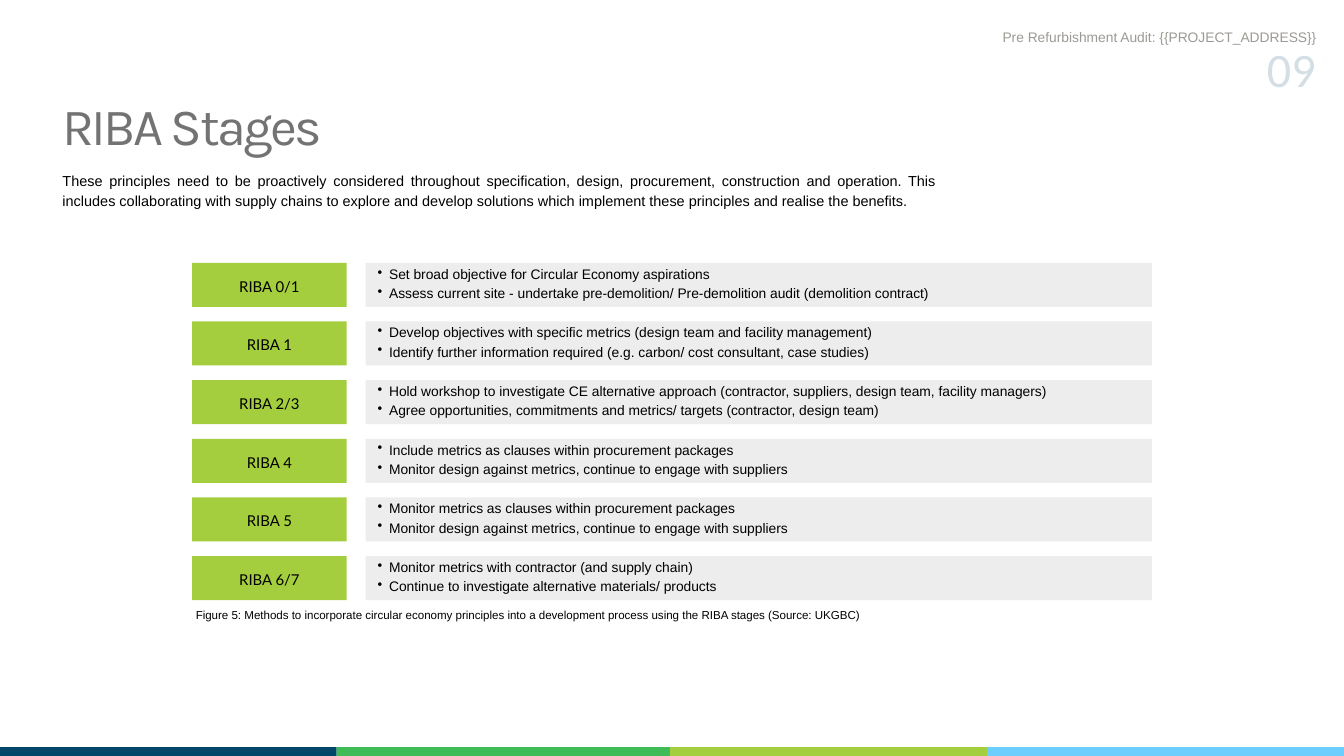
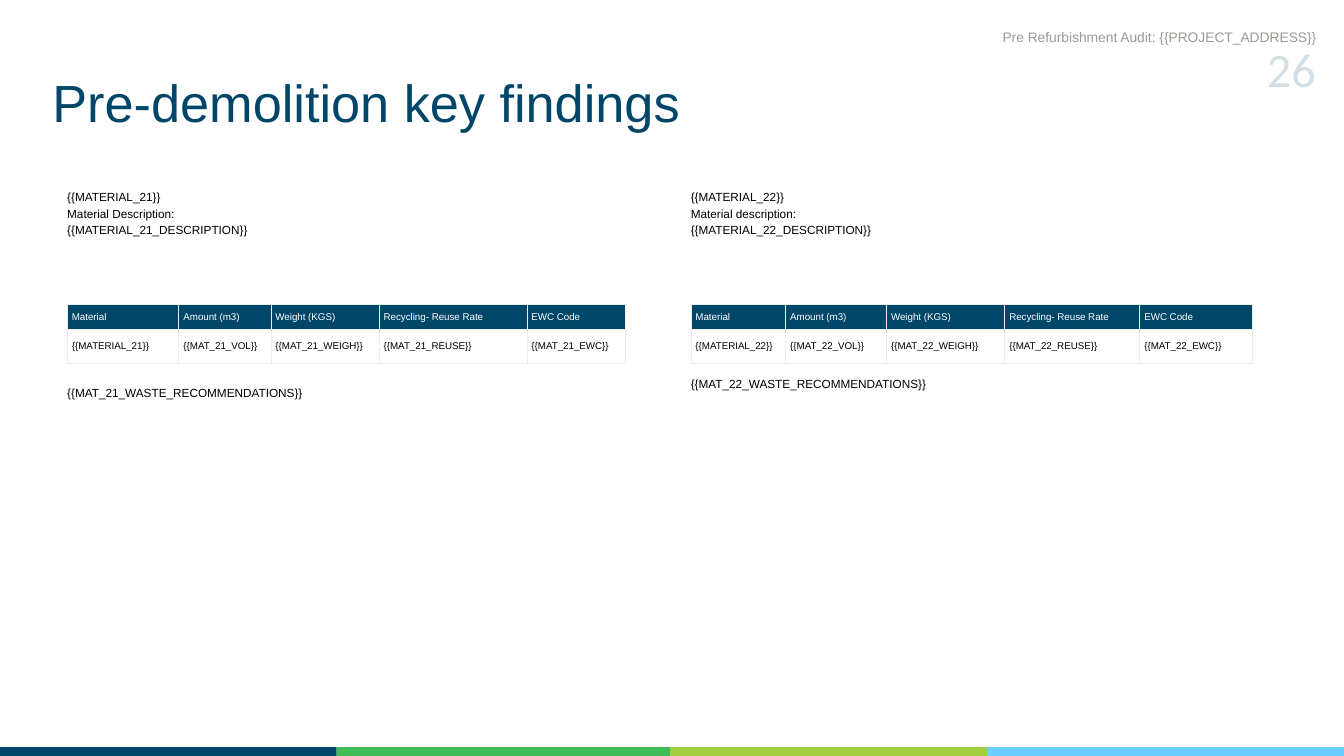
from dataclasses import dataclass

from lxml import etree
from pptx import Presentation
from pptx.dml.color import RGBColor
from pptx.enum.shapes import MSO_SHAPE
from pptx.enum.text import MSO_ANCHOR, PP_ALIGN
from pptx.oxml.ns import qn
from pptx.util import Inches, Pt

RECTANGLE = MSO_SHAPE.RECTANGLE
TOP, MIDDLE = MSO_ANCHOR.TOP, MSO_ANCHOR.MIDDLE
LEFT, CENTER, RIGHT, JUSTIFY = PP_ALIGN.LEFT, PP_ALIGN.CENTER, PP_ALIGN.RIGHT, PP_ALIGN.JUSTIFY


@dataclass(frozen=True)
class Theme:
    """Colours, fonts, type sizes and line widths of the deck."""
    navy: str = "004669"
    green: str = "3FBB58"
    lime: str = "A3CF3E"
    stage_lime: str = "A4CE3E"
    sky: str = "6BCEFD"
    pale: str = "EDEDED"
    title_grey: str = "737373"
    header_grey: str = "9C9A94"
    black: str = "000000"
    white: str = "FFFFFF"
    body_font: str = "Arial"
    stage_font: str = "Lato"
    number_font: str = "Calibri"
    title_font: str = "Karla"
    title_size: float = 56
    number_size: float = 51.6
    stage_size: float = 16
    intro_size: float = 15.5
    body_size: float = 14.8
    material_size: float = 12.6
    caption_size: float = 12.4
    table_size: float = 10.5
    border_width: float = 0.66


THEME = Theme()
BAND_TOP = 98.84
BAND_EDGES = (0, 25.05, 49.85, 73.45, 100)
BAND_COLORS = (THEME.navy, THEME.green, THEME.lime, THEME.sky)

STAGE_TOP, STAGE_PITCH, STAGE_HEIGHT = 34.76, 7.76, 5.82
STAGES = (
    ("RIBA 0/1", ("Set broad objective for Circular Economy aspirations",
                  "Assess current site - undertake pre-demolition/ Pre-demolition audit (demolition contract)")),
    ("RIBA 1", ("Develop objectives with specific metrics (design team and facility management)",
                "Identify further information required (e.g. carbon/ cost consultant, case studies)")),
    ("RIBA 2/3", ("Hold workshop to investigate CE alternative approach "
                  "(contractor, suppliers, design team, facility managers)",
                  "Agree opportunities, commitments and metrics/ targets (contractor, design team)")),
    ("RIBA 4", ("Include metrics as clauses within procurement packages",
                "Monitor design against metrics, continue to engage with suppliers")),
    ("RIBA 5", ("Monitor metrics as clauses within procurement packages",
                "Monitor design against metrics, continue to engage with suppliers")),
    ("RIBA 6/7", ("Monitor metrics with contractor (and supply chain)",
                  "Continue to investigate alternative materials/ products")),
)

TABLE_HEADINGS = ("Material", "Amount (m3)", "Weight (KGS)", "Recycling- Reuse Rate", "EWC Code")
TABLE_ROWS = (3.29, 4.53)
MATERIALS = (
    (21, "Material Description:", 5, (8.3, 6.85, 8.05, 11, 7.35), 50.75),
    (22, "Material description:", 51.4, (7.05, 7.5, 8.8, 10.05, 8.35), 49.5),
)


def write_text(frame, lines, size, leading, font=THEME.body_font, color=THEME.black,
               align=LEFT, anchor=TOP, margin=0, bullet=False, tracking=0, opacity=100):
    """Fill a text frame with one paragraph per line."""
    frame.word_wrap = True
    frame.vertical_anchor = anchor
    frame.margin_left = frame.margin_right = Inches(margin)
    frame.margin_top = frame.margin_bottom = Inches(margin)
    for index, line in enumerate(lines):
        paragraph = frame.add_paragraph() if index else frame.paragraphs[0]
        if bullet:
            properties = paragraph._p.get_or_add_pPr()
            properties.set("marL", str(Inches(0.35)))
            properties.set("indent", str(Inches(-0.17)))
            etree.SubElement(properties, qn("a:buChar")).set("char", "•")
        paragraph.alignment = align
        paragraph.line_spacing = Pt(leading)
        run = paragraph.add_run()
        run.text = line
        run.font.name = font
        run.font.size = Pt(size)
        run.font.color.rgb = RGBColor.from_string(color)
        run_properties = run._r.get_or_add_rPr()
        if tracking:
            run_properties.set("spc", str(round(tracking * 100)))
        if opacity < 100:
            fill_color = run_properties.find(".//" + qn("a:srgbClr"))
            etree.SubElement(fill_color, qn("a:alpha")).set("val", str(opacity * 1000))


class Deck:
    """Draws on the current slide; positions are percentages of its width and height."""

    def __init__(self, theme):
        """Open a presentation with the given theme."""
        self.theme = theme
        self.presentation = Presentation()
        self.presentation.slide_width = Inches(20)
        self.presentation.slide_height = Inches(11.25)
        self.slide = None

    def across(self, share):
        """Turn a percentage of the width into a length."""
        return round(self.presentation.slide_width * share / 100)

    def down(self, share):
        """Turn a percentage of the height into a length."""
        return round(self.presentation.slide_height * share / 100)

    def place(self, left, top, width, height):
        """Turn a percentage box into lengths."""
        return self.across(left), self.down(top), self.across(width), self.down(height)

    def add_slide(self, number):
        """Start a slide with its colour band, header and page number."""
        theme = self.theme
        self.slide = self.presentation.slides.add_slide(self.presentation.slide_layouts[6])
        for start, end, color in zip(BAND_EDGES, BAND_EDGES[1:], BAND_COLORS):
            self.block(start, BAND_TOP, end - start, 100 - BAND_TOP, color)
        self.text(92.05, 3.91, 5.85, 9.87, [number], size=theme.number_size, leading=72.3,
                  font=theme.number_font, color=theme.navy, align=RIGHT, opacity=17)
        self.text(61, 3.47, 36.95, 2.67, ["Pre Refurbishment Audit: {{PROJECT_ADDRESS}}"],
                  size=theme.body_size, leading=20.6, color=theme.header_grey, align=RIGHT)

    def block(self, left, top, width, height, color):
        """Add a plain filled rectangle."""
        shape = self.slide.shapes.add_shape(RECTANGLE, *self.place(left, top, width, height))
        shape.shadow.inherit = False
        shape.fill.solid()
        shape.fill.fore_color.rgb = RGBColor.from_string(color)
        shape.line.fill.background()
        return shape

    def text(self, left, top, width, height, lines, **style):
        """Add a text box."""
        box = self.slide.shapes.add_textbox(*self.place(left, top, width, height))
        write_text(box.text_frame, lines, **style)

    def title(self, left, top, width, height, line, **style):
        """Add the slide's title."""
        self.text(left, top, width, height, [line], size=self.theme.title_size, **style)

    def table(self, left, top, columns, rows, content):
        """Add a bordered table with a dark heading row."""
        theme = self.theme
        frame = self.slide.shapes.add_table(
            len(rows), len(columns), *self.place(left, top, sum(columns), sum(rows)))
        table = frame.table
        table.horz_banding = False
        for column, width in zip(table.columns, columns):
            column.width = self.across(width)
        for index, (row, height) in enumerate(zip(table.rows, rows)):
            row.height = self.down(height)
            for cell, value in zip(row.cells, content[index]):
                write_text(cell.text_frame, [value], size=theme.table_size, leading=11.3,
                           color=theme.black if index else theme.white)
                cell.vertical_anchor = MIDDLE
                cell.margin_left = cell.margin_right = Inches(0.07)
                cell.margin_top = cell.margin_bottom = Inches(0.07)
                if index:
                    cell.fill.background()
                else:
                    cell.fill.solid()
                    cell.fill.fore_color.rgb = RGBColor.from_string(theme.navy)
                self.border(cell)

    def border(self, cell):
        """Draw a thin line on each side of a cell."""
        properties = cell._tc.get_or_add_tcPr()
        for position, side in enumerate(("a:lnL", "a:lnR", "a:lnT", "a:lnB")):
            line = etree.Element(qn(side), w=str(Pt(self.theme.border_width)))
            fill = etree.SubElement(line, qn("a:solidFill"))
            etree.SubElement(fill, qn("a:srgbClr")).set("val", self.theme.pale)
            properties.insert(position, line)


def build_stages(deck):
    """Build the slide on the stages of a project."""
    theme = deck.theme
    deck.add_slide("09")
    deck.title(4.65, 14.4, 42.7, 6.67, "RIBA Stages", leading=50.4, font=theme.title_font,
               color=theme.title_grey, tracking=-2.8)
    deck.text(4.65, 22.31, 64.95, 8,
              ["These principles need to be proactively considered throughout specification, design, "
               "procurement, construction and operation. This includes collaborating with supply chains "
               "to explore and develop solutions which implement these principles and realise the benefits."],
              size=theme.intro_size, leading=21.7, align=JUSTIFY)
    for index, (stage, actions) in enumerate(STAGES):
        top = STAGE_TOP + index * STAGE_PITCH
        label = deck.block(14.3, top, 11.5, STAGE_HEIGHT, theme.stage_lime)
        write_text(label.text_frame, [stage], size=theme.stage_size, leading=22.4,
                   font=theme.stage_font, align=CENTER, anchor=MIDDLE)
        bar = deck.block(27.2, top, 58.5, STAGE_HEIGHT, theme.pale)
        write_text(bar.text_frame, actions, size=theme.body_size, leading=20.6, bullet=True)
    deck.text(14, 80.09, 50.6, 2.31,
              ["Figure 5: Methods to incorporate circular economy principles into a development "
               "process using the RIBA stages (Source: UKGBC)"],
              size=theme.caption_size, leading=17.4, align=CENTER)


def build_findings(deck):
    """Build the slide that compares two materials."""
    theme = deck.theme
    deck.add_slide("26")
    deck.title(3.9, 7.91, 62.5, 10.4, "Pre-demolition key findings", leading=78.4, color=theme.navy)
    material_style = {"size": theme.material_size, "leading": 17.6}
    for number, heading, left, columns, advice_top in MATERIALS:
        material = f"{{{{MATERIAL_{number}}}}}"
        fields = [f"{{{{MAT_{number}_{field}}}}}" for field in ("VOL", "WEIGH", "REUSE", "EWC")]
        width = sum(columns)
        deck.text(left, 24.85, width, 10.6,
                  [material, heading, f"{{{{MATERIAL_{number}_DESCRIPTION}}}}"], **material_style)
        deck.table(left, 40.27, columns, TABLE_ROWS, (TABLE_HEADINGS, [material, *fields]))
        deck.text(left, advice_top, width, 4.36,
                  [f"{{{{MAT_{number}_WASTE_RECOMMENDATIONS}}}}"], **material_style)


def main():
    """Build and save the presentation."""
    deck = Deck(THEME)
    build_stages(deck)
    build_findings(deck)
    deck.presentation.save("out.pptx")


if __name__ == "__main__":
    main()
